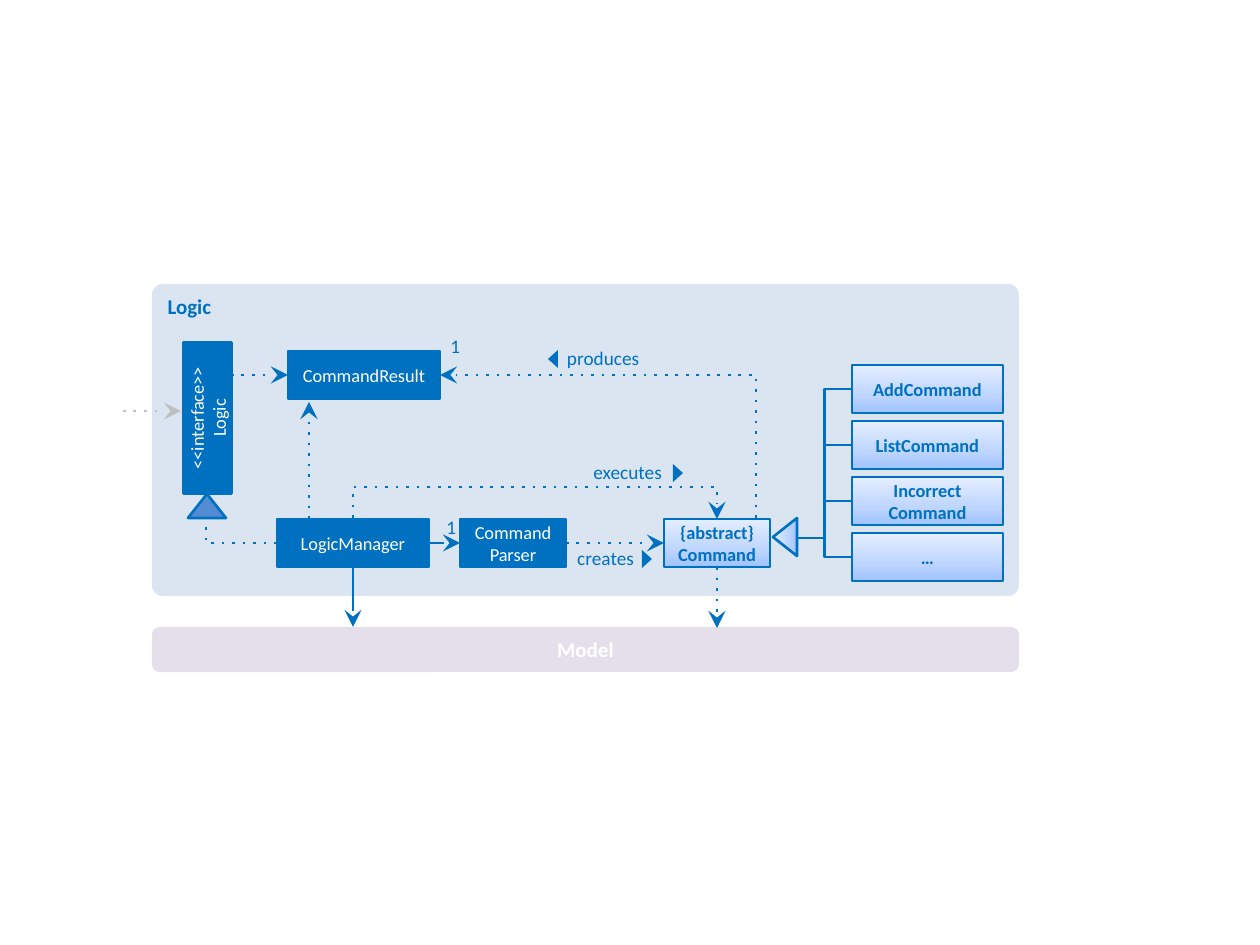
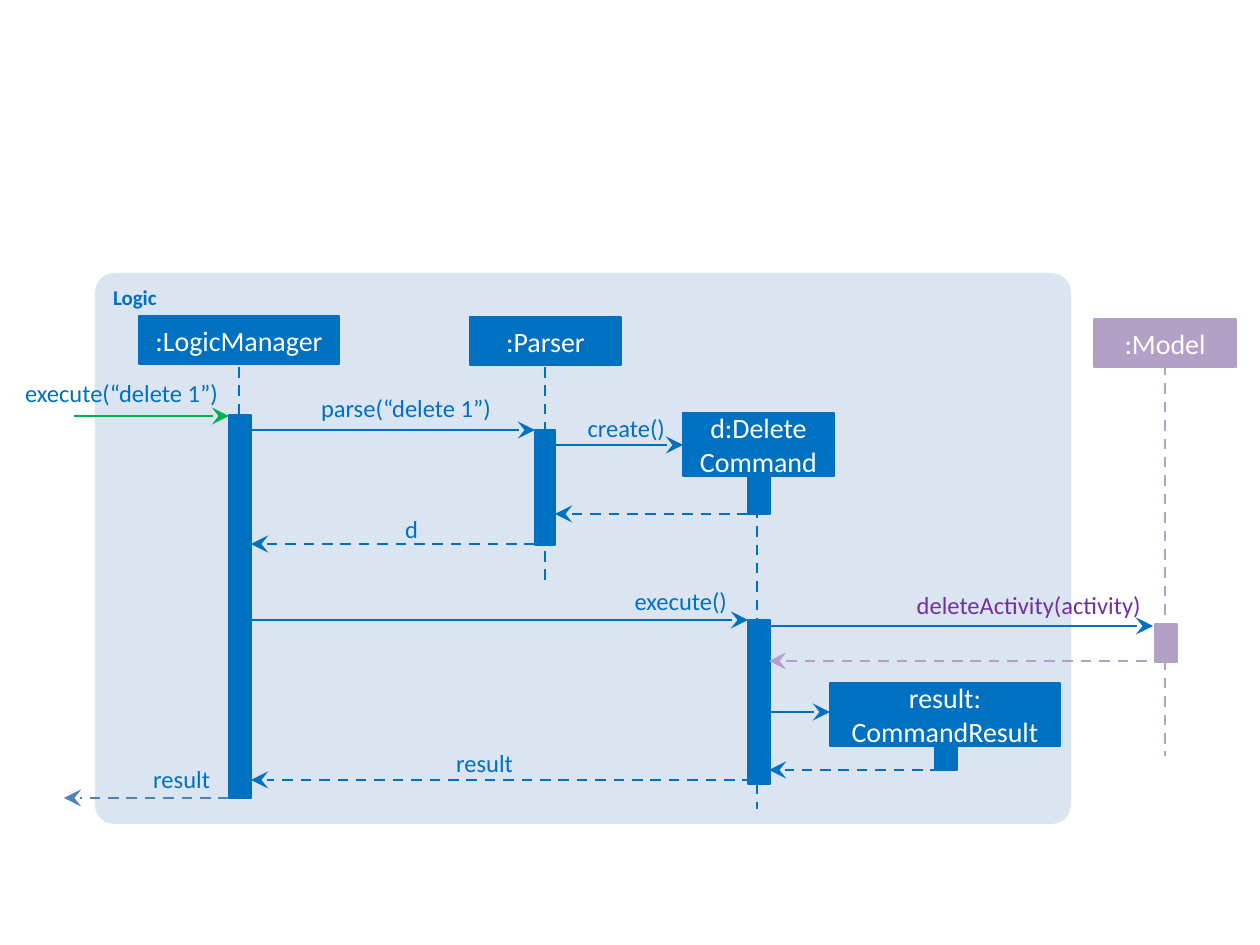
from dataclasses import dataclass

from lxml.etree import SubElement
from pptx import Presentation
from pptx.dml.color import RGBColor
from pptx.enum.shapes import MSO_CONNECTOR, MSO_SHAPE
from pptx.enum.text import MSO_ANCHOR, PP_ALIGN
from pptx.oxml.ns import qn
from pptx.util import Emu, Pt

# Shared look
SCALE = 914400 / 126
FONT = "Calibri"
BLUE = RGBColor(0x00, 0x70, 0xC0)
MID_BLUE = RGBColor(0x53, 0x8C, 0xD5)
STEEL = RGBColor(0x4F, 0x81, 0xBD)
PANEL = RGBColor(0xDA, 0xE5, 0xF1)
LILAC = RGBColor(0xE5, 0xDF, 0xEC)
MAUVE = RGBColor(0xB2, 0xA0, 0xC7)
PURPLE = RGBColor(0x70, 0x30, 0xA0)
GREEN = RGBColor(0x00, 0xB0, 0x50)
GREY = RGBColor(0xBF, 0xBF, 0xBF)
WHITE = RGBColor(0xFF, 0xFF, 0xFF)
GLOSS = ((0, RGBColor(0x9F, 0xC3, 0xFF)), (35, RGBColor(0xBD, 0xD5, 0xFF)),
         (100, RGBColor(0xE4, 0xEE, 0xFF)))
CENTER, LEFT, RIGHT = PP_ALIGN.CENTER, PP_ALIGN.LEFT, PP_ALIGN.RIGHT


def px(value):
    return Emu(round(value * SCALE))


def write(frame, text, size, color, bold=False, align=CENTER):
    frame.word_wrap = True
    frame.text = text
    for para in frame.paragraphs:
        para.alignment = align
        font = para.font
        font.name, font.size, font.bold = FONT, Pt(size), bold
        font.color.rgb = color


def paint_gloss(shape):
    shape.fill.gradient()
    shape.fill.gradient_angle = 90
    stops = shape.element.spPr.find(".//" + qn("a:gsLst"))
    for stop in list(stops):
        stops.remove(stop)
    for position, color in GLOSS:
        stop = SubElement(stops, qn("a:gs"), pos=str(position * 1000))
        SubElement(stop, qn("a:srgbClr"), val=str(color))


@dataclass
class Region:
    """A part of a page; all its positions start at its left top corner."""
    page: object
    left: int
    top: int

    def shape(self, kind, x, y, width, height, fill, line=None, weight=1.5, turn=0):
        shape = self.page.shapes.add_shape(
            kind, px(self.left + x), px(self.top + y), px(width), px(height))
        shape.shadow.inherit = False
        shape.rotation = turn
        if fill is GLOSS:
            paint_gloss(shape)
        else:
            shape.fill.solid()
            shape.fill.fore_color.rgb = fill
        if line is None:
            shape.line.fill.background()
        else:
            shape.line.color.rgb = line
            shape.line.width = Pt(weight)
        return shape

    def panel(self, y, width, height, fill, rounding):
        panel = self.shape(MSO_SHAPE.ROUNDED_RECTANGLE, 0, y, width, height, fill)
        panel.adjustments[0] = rounding
        return panel

    def logic_panel(self, width, height):
        frame = self.panel(0, width, height, PANEL, 0.035).text_frame
        frame.vertical_anchor = MSO_ANCHOR.TOP
        write(frame, "Logic", 12, BLUE, True, LEFT)

    def box(self, text, x, y, width, height, size, fill=BLUE, line=BLUE, turn=0):
        box = self.shape(MSO_SHAPE.RECTANGLE, x, y, width, height, fill, line, turn=turn)
        box.text_frame.vertical_anchor = MSO_ANCHOR.MIDDLE
        glossy = fill is GLOSS
        write(box.text_frame, text, size, BLUE if glossy else WHITE, glossy)

    def triangle(self, x, y, width, height, fill, line=None, turn=0):
        self.shape(MSO_SHAPE.ISOSCELES_TRIANGLE, x, y, width, height, fill, line, turn=turn)

    def label(self, text, x, y, width, height, size, color=BLUE, align=RIGHT):
        frame = self.page.shapes.add_textbox(
            px(self.left + x), px(self.top + y), px(width), px(height)).text_frame
        frame.margin_left = frame.margin_right = 0
        frame.margin_top = frame.margin_bottom = 0
        write(frame, text, size, color, align=align)

    def line(self, start, end, color=BLUE, dash=None, arrow=True, bend=None):
        """Bend is the place of the elbow, as a share of the width."""
        kind = MSO_CONNECTOR.STRAIGHT if bend is None else MSO_CONNECTOR.ELBOW
        (x1, y1), (x2, y2) = start, end
        connector = self.page.shapes.add_connector(
            kind, px(self.left + x1), px(self.top + y1),
            px(self.left + x2), px(self.top + y2))
        connector.line.color.rgb = color
        connector.line.width = Pt(1.5)
        properties = connector._element.spPr
        outline = properties.find(qn("a:ln"))
        if dash:
            SubElement(outline, qn("a:prstDash"), val=dash)
        if arrow:
            SubElement(outline, qn("a:tailEnd"), type="stealth", w="lg", len="lg")
        SubElement(properties, qn("a:effectLst"))
        if bend is not None:
            guides = properties.find(".//" + qn("a:avLst"))
            SubElement(guides, qn("a:gd"), name="adj1", fmla=f"val {round(bend * 100000)}")
        return connector

    def bridge(self, start, end, rise, **style):
        """Dotted line that leaves upwards, crosses over and comes down."""
        (x1, y1), (x2, y2) = start, end
        middle, half = (x1 + x2) / 2, (x2 - x1) / 2
        center, drop = (y1 + y2) / 2, y2 - y1
        connector = self.line((middle + drop / 2, center - half),
                              (middle - drop / 2, center + half),
                              bend=-rise / drop, **style)
        connector._element.spPr.find(qn("a:xfrm")).set("rot", str(270 * 60000))


def class_diagram(page, left, top):
    region = Region(page, left, top)
    region.logic_panel(867, 312)
    model = region.panel(343, 867, 45, LILAC, 0.167)
    model.text_frame.vertical_anchor = MSO_ANCHOR.MIDDLE
    write(model.text_frame, "Model", 12, WHITE, True)

    # Line that starts behind the abstract command
    region.line((604, 255), (288, 91), dash="dot", bend=0)

    # Classes
    row, high, size = 235, 48, 10.5
    region.box("CommandResult", 136, 67, 152, high, size)
    region.box("LogicManager", 125, row, 152, high, size)
    region.box("Command\vParser", 308, row, 106, high, size)
    region.box("{abstract}\vCommand", 512, row, 106, high, size, GLOSS)
    region.box("<<interface>>\nLogic", -20, 110, 151, high, size, turn=270)

    # Concrete commands and their inheritance fork
    region.triangle(614, 241, 38, 24, GLOSS, BLUE, 270)
    for index, name in enumerate(("AddCommand", "ListCommand", "Incorrect\vCommand", "…")):
        y = 81 + 56 * index
        region.box(name, 700, y, 151, high, size, GLOSS)
        region.line((645, 254), (700, y + high / 2), arrow=False, bend=0.5)

    # Interface realisation
    region.triangle(36, 210, 38, 24, MID_BLUE, BLUE)
    region.line((125, 259), (54, 234), dash="dot", arrow=False, bend=1)

    # Dependencies
    for start, end, color, dash in (
            ((-29, 127), (29, 127), GREY, "dot"),
            ((79, 91), (136, 91), BLUE, "dot"),
            ((157, row), (157, 118), BLUE, "dot"),
            ((414, 259), (512, 259), BLUE, "dot"),
            ((565, 283), (565, 344), BLUE, "dot"),
            ((277, 259), (308, 259), BLUE, None),
            ((201, 283), (201, 343), BLUE, None)):
        region.line(start, end, color, dash)
    region.bridge((201, 234), (565, 235), 31, dash="dot")

    # Names of the dependencies, each with its reading direction
    for text, x, y, width, align, mark_x, turn in (
            ("executes", 409, 176, 101, RIGHT, 517, 90),
            ("produces", 415, 62, 101, LEFT, 392, 270),
            ("creates", 405, 262, 77, RIGHT, 486, 90)):
        region.label(text, x, y, width, 32, 11, align=align)
        region.triangle(mark_x, y + 8, 18, 10, BLUE, turn=turn)
    for x, y in ((290, 50), (286, 231)):
        region.label("1", x, y, 18, 32, 11)


def sequence_diagram(page, left, top):
    region = Region(page, left, top)
    region.logic_panel(976, 551)

    # Lifelines: x, start, end
    for x, start, end, color in ((144, 94, 452, BLUE), (450, 94, 313, BLUE),
                                 (662, 198, 536, BLUE), (1070, 92, 483, MAUVE)):
        region.line((x, start), (x, end), color, "dash", arrow=False)

    # Participants
    for text, x, y, width, height, color in (
            (":LogicManager", 44, 43, 200, 48, BLUE),
            (":Parser", 375, 44, 151, 48, BLUE),
            ("d:Delete\vCommand", 588, 140, 151, 63, BLUE),
            (":Model", 999, 46, 142, 48, MAUVE),
            ("result:\vCommandResult", 735, 410, 230, 63, BLUE)):
        region.box(text, x, y, width, height, 16, color, color)

    # Activation bars
    for x, y, width, height, color in (
            (134, 142, 22, 383, BLUE), (440, 157, 20, 115, BLUE),
            (653, 203, 22, 38, BLUE), (653, 347, 22, 164, BLUE),
            (1060, 351, 22, 38, MAUVE), (840, 473, 22, 24, BLUE)):
        region.shape(MSO_SHAPE.RECTANGLE, x, y, width, height, color, color, 0.75)

    # Calls: from x, to x, y
    for start, end, y, color in (
            (-21, 134, 143, GREEN), (156, 440, 157, BLUE), (460, 588, 172, BLUE),
            (156, 653, 347, BLUE), (674, 1058, 353, BLUE), (674, 735, 439, BLUE)):
        region.line((start, y), (end, y), color)

    # Returns: from x, to x, y
    for start, end, y, color in (
            (653, 460, 241, BLUE), (440, 156, 271, BLUE), (1070, 674, 388, MAUVE),
            (846, 674, 497, BLUE), (658, 156, 507, BLUE), (134, -31, 525, STEEL)):
        region.line((start, y), (end, y), color, "dash")

    # Messages
    for text, x, y, width, color in (
            ("execute(“delete 1”)", -74, 105, 197, BLUE),
            ("parse(“delete 1”)", 199, 120, 197, BLUE),
            ("create()", 482, 140, 88, BLUE),
            ("d", 293, 241, 30, BLUE),
            ("execute()", 514, 313, 118, BLUE),
            ("deleteActivity(activity)", 807, 317, 239, PURPLE),
            ("result", 332, 475, 86, BLUE),
            ("result", 10, 491, 105, BLUE)):
        region.label(text, x, y, width, 30, 14, color)


deck = Presentation()
deck.slide_width, deck.slide_height = px(1260), px(945)
blank = deck.slide_layouts[6]
class_diagram(deck.slides.add_slide(blank), 152, 284)
sequence_diagram(deck.slides.add_slide(blank), 95, 273)
deck.save("out.pptx")
